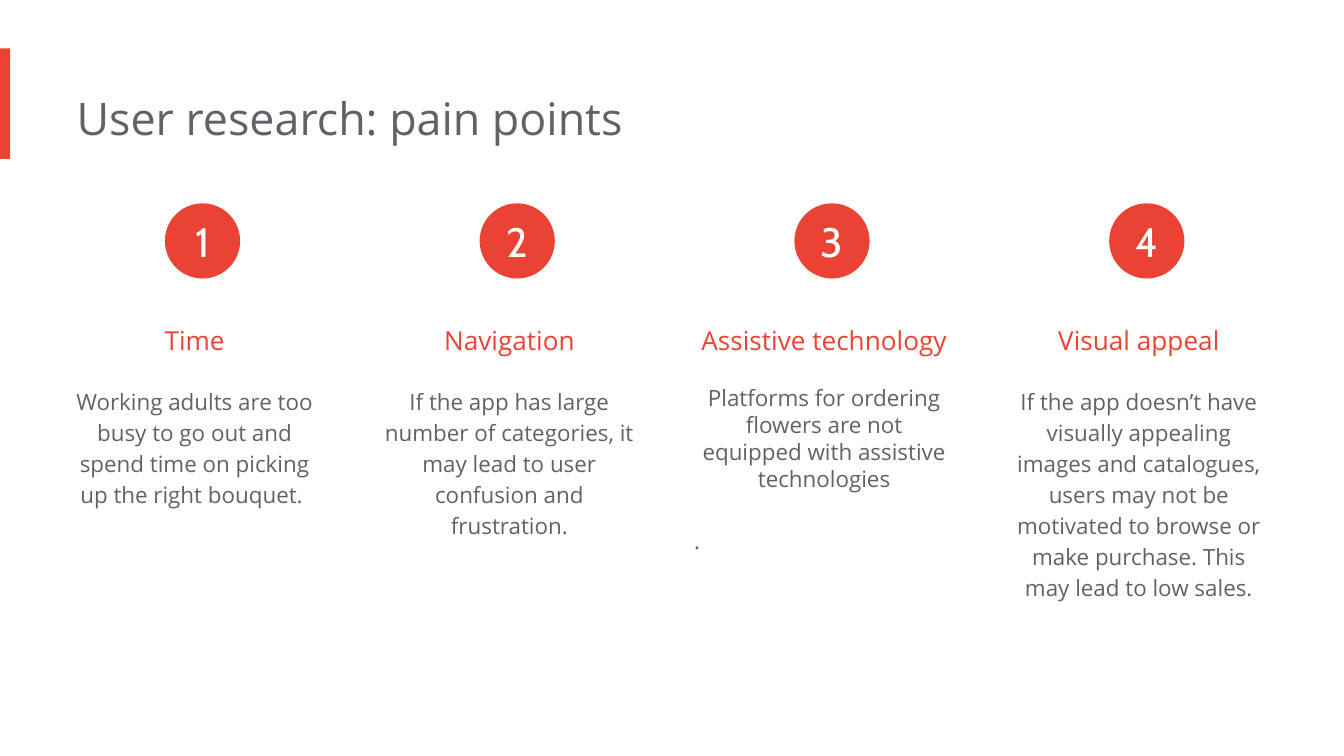
from pptx import Presentation
from pptx.dml.color import RGBColor
from pptx.enum.shapes import MSO_SHAPE
from pptx.enum.text import MSO_ANCHOR, MSO_AUTO_SIZE, PP_ALIGN
from pptx.util import Inches, Pt

COLORS = {"red": "EA4335", "gray": "5F6368", "white": "FFFFFF"}
CELL = 0.1  # inches per grid column and row
COLUMNS, ROWS = 100, 56.25


def grid(*cells):
    return [Inches(cell * CELL) for cell in cells]


def write(para, text, *, size, color, font="Open Sans", align=None, line=None, before=None):
    para.alignment = align
    para.line_spacing = line
    if before is not None:
        para.space_before = Pt(before)
    span = para.add_run()
    span.text = text
    span.font.name = font
    span.font.size = Pt(size)
    span.font.color.rgb = RGBColor.from_string(COLORS[color])


class Page:
    """Holds the accent style and the current slide; positions are in grid cells."""

    def __init__(self, slide, accent="red"):
        self.slide = slide
        self.accent = accent

    def shape(self, kind, left, top, width, height):
        shape = self.slide.shapes.add_shape(kind, *grid(left, top, width, height))
        shape.shadow.inherit = False
        shape.fill.solid()
        shape.fill.fore_color.rgb = RGBColor.from_string(COLORS[self.accent])
        shape.line.fill.background()
        return shape

    def text(self, text, left, top, width, height, **style):
        box = self.slide.shapes.add_textbox(*grid(left, top, width, height))
        frame = box.text_frame
        frame.word_wrap = True
        frame.auto_size = MSO_AUTO_SIZE.SHAPE_TO_FIT_TEXT
        frame.margin_left = 0
        frame.margin_top = frame.margin_right = frame.margin_bottom = Inches(0.1)
        write(frame.paragraphs[0], text, **style)
        return frame

    def badge(self, number, left, top, size):
        frame = self.shape(MSO_SHAPE.OVAL, left, top, size, size).text_frame
        frame.margin_left = frame.margin_top = frame.margin_right = frame.margin_bottom = 0
        frame.vertical_anchor = MSO_ANCHOR.MIDDLE
        write(frame.paragraphs[0], str(number), size=22, color="white",
              font="Cabin", align=PP_ALIGN.CENTER)


# Heading, description, line spacing, description height
PAIN_POINTS = [
    ("Time", "Working adults are too busy to go out and spend time on picking "
     "up the right bouquet. ", 1.15, 11.3),
    ("Navigation", "If the app has large number of categories, it may lead to user "
     "confusion and frustration.", 1.15, 13.6),
    ("Assistive technology", "Platforms for ordering flowers are not equipped with "
     "assistive technologies", None, 14.8),
    ("Visual appeal", "If the app doesn’t have visually appealing images and catalogues, "
     "users may not be motivated to browse or make purchase. This may lead to low sales.",
     1.15, 18.3),
]
FIRST_LEFT, PITCH, CARD_WIDTH = 4.8, 23.42, 20.35
BADGE_INSET, BADGE_SIZE = 7.47, 5.6


def main():
    deck = Presentation()
    deck.slide_width, deck.slide_height = grid(COLUMNS, ROWS)
    page = Page(deck.slides.add_slide(deck.slide_layouts[6]))

    # Accent bar and title
    page.shape(MSO_SHAPE.RECTANGLE, 0, 3.6, 0.75, 8.23)
    page.text("User research: pain points", 5.7, 5.75, 67.3, 6.1, size=24, color="gray")

    # One column per pain point
    for index, (heading, description, line, height) in enumerate(PAIN_POINTS):
        left = FIRST_LEFT + index * PITCH
        page.badge(index + 1, left + BADGE_INSET, 15.13, BADGE_SIZE)
        page.text(heading, left, 22, CARD_WIDTH, 5.6, size=14, color="red",
                  align=PP_ALIGN.CENTER, line=1.5)
        frame = page.text(description, left, 27.6, CARD_WIDTH, height, size=12,
                          color="gray", align=PP_ALIGN.CENTER, line=line)
        if heading == "Assistive technology":
            # Closing full stop on its own line
            write(frame.add_paragraph(), ".", size=12, color="gray", before=18.8)

    deck.save("out.pptx")


if __name__ == "__main__":
    main()
